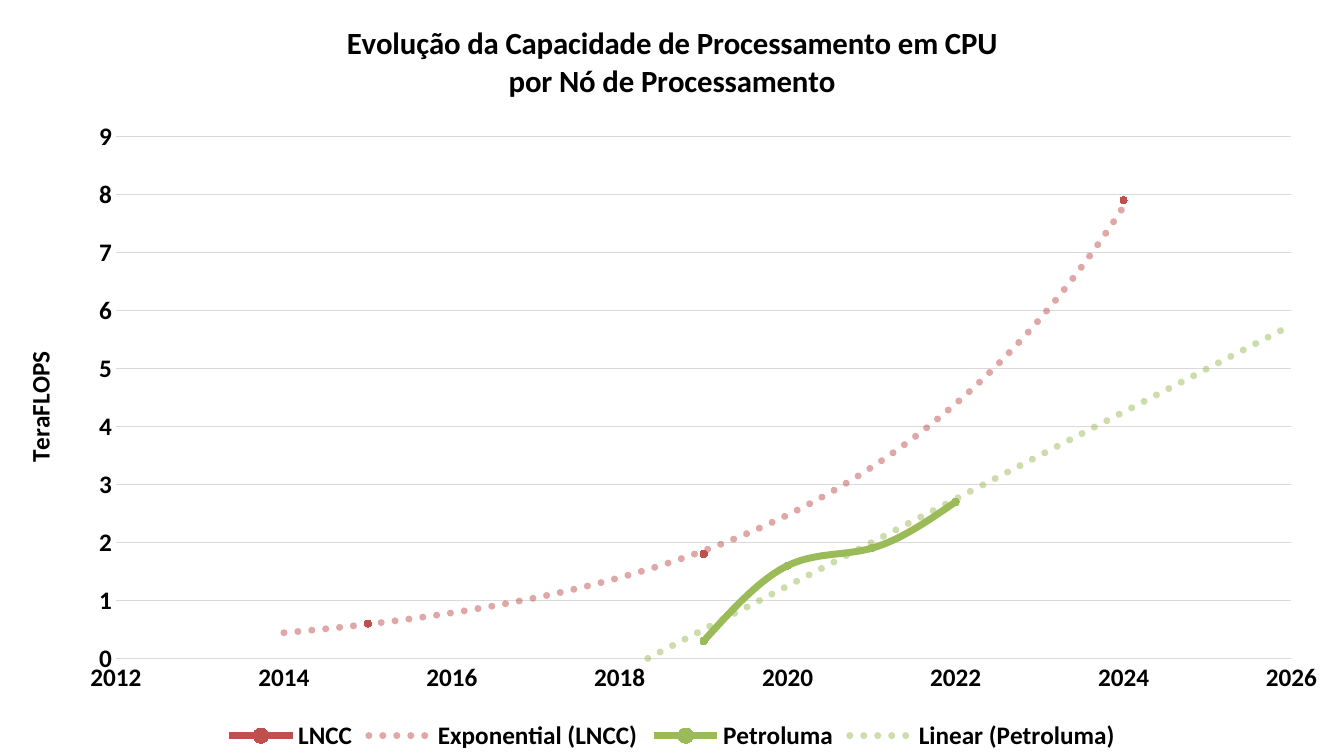
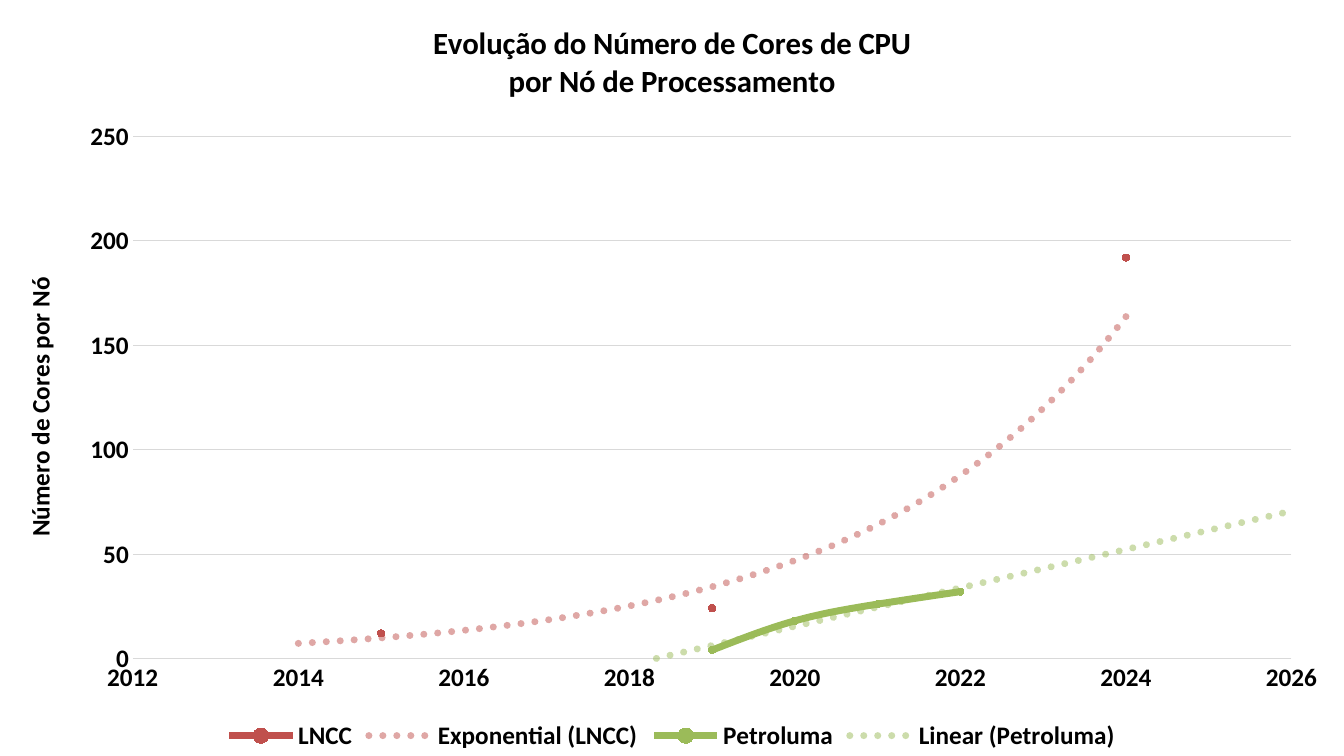
from dataclasses import dataclass
from typing import Optional

from lxml.etree import SubElement
from pptx import Presentation
from pptx.chart.chart import Chart
from pptx.chart.data import XyChartData
from pptx.chart.series import XySeries
from pptx.dml.color import RGBColor
from pptx.enum.chart import XL_CHART_TYPE as ChartType
from pptx.enum.chart import XL_LEGEND_POSITION as LegendPosition
from pptx.enum.chart import XL_MARKER_STYLE as MarkerStyle
from pptx.enum.chart import XL_TICK_MARK as TickMark
from pptx.oxml import parse_xml
from pptx.oxml.ns import nsdecls, qn
from pptx.util import Inches, Pt


@dataclass(frozen=True)
class Theme:
    font: str = "Calibri"
    text: str = "000000"
    grid: str = "D9D9D9"
    title_size: int = 22
    label_size: int = 18
    curve_width: float = 5
    grid_width: float = 0.75
    marker_size: int = 5


@dataclass(frozen=True)
class Site:
    name: str
    color: str
    trend: str
    forecast_years: int = 0


@dataclass(frozen=True)
class Evolution:
    title: str
    unit: str
    top: int
    step: int
    values: tuple[dict[int, float], ...]


THEME = Theme()
YEARS = range(2014, 2025)
SITES = (
    Site("LNCC", "C0504D", "exp"),
    Site("Petroluma", "9BBB59", "linear", forecast_years=2),
)
EVOLUTIONS = (
    Evolution(
        "Evolução da Capacidade de Processamento em CPU\npor Nó de Processamento",
        "TeraFLOPS", 9, 1,
        ({2015: 0.6, 2019: 1.8, 2024: 7.9},
         {2019: 0.3, 2020: 1.6, 2021: 1.9, 2022: 2.7}),
    ),
    Evolution(
        "Evolução do Número de Cores de CPU\npor Nó de Processamento",
        "Número de Cores por Nó", 250, 50,
        ({2015: 12, 2019: 24, 2024: 192},
         {2019: 4, 2020: 18, 2021: 26, 2022: 32}),
    ),
)


def style_font(font, size: int) -> None:
    font.name = THEME.font
    font.size = Pt(size)
    font.bold = True
    font.color.rgb = RGBColor.from_string(THEME.text)


def style_title(text_frame, text: str, size: int) -> None:
    text_frame.text = text
    for paragraph in text_frame.paragraphs:
        style_font(paragraph.font, size)
        for run in paragraph.runs:
            style_font(run.font, size)


def style_line(line, color: str, width: float) -> None:
    line.color.rgb = RGBColor.from_string(color)
    line.width = Pt(width)


def add_trend(series: XySeries, site: Site) -> None:
    trend = parse_xml(
        f'<c:trendline {nsdecls("c", "a")}><c:spPr>'
        f'<a:ln w="{Pt(THEME.curve_width)}" cap="rnd"><a:solidFill>'
        f'<a:srgbClr val="{site.color}"><a:alpha val="50000"/></a:srgbClr>'
        '</a:solidFill><a:prstDash val="sysDot"/></a:ln></c:spPr></c:trendline>'
    )
    SubElement(trend, qn("c:trendlineType")).set("val", site.trend)
    if site.forecast_years:
        SubElement(trend, qn("c:forward")).set("val", str(site.forecast_years))
    for flag in ("c:dispRSqr", "c:dispEq"):
        SubElement(trend, qn(flag)).set("val", "0")
    series._element.find(qn("c:xVal")).addprevious(trend)


def style_series(series: XySeries, site: Site) -> None:
    color = RGBColor.from_string(site.color)
    style_line(series.format.line, site.color, THEME.curve_width)
    marker = series.marker
    marker.style = MarkerStyle.CIRCLE
    marker.size = THEME.marker_size
    marker.format.fill.solid()
    marker.format.fill.fore_color.rgb = color
    marker.format.line.color.rgb = color
    for gap in series._element.xpath('c:yVal//c:pt[c:v="None"]'):
        gap.getparent().remove(gap)
    series._element.find(qn("c:smooth")).set("val", "1")
    add_trend(series, site)


def style_axis(axis, low: int, high: int, step: int) -> None:
    axis.minimum_scale, axis.maximum_scale, axis.major_unit = low, high, step
    axis.major_tick_mark = axis.minor_tick_mark = TickMark.NONE
    style_font(axis.tick_labels.font, THEME.label_size)
    axis.tick_labels.number_format = "General"
    axis.tick_labels.number_format_is_linked = False


def style_axes(chart: Chart, evolution: Evolution) -> None:
    years, amounts = chart.category_axis, chart.value_axis
    style_axis(years, 2012, 2026, 2)
    years.has_major_gridlines = False
    style_line(years.format.line, THEME.grid, THEME.grid_width)

    style_axis(amounts, 0, evolution.top, evolution.step)
    amounts.has_major_gridlines = True
    style_line(amounts.major_gridlines.format.line, THEME.grid, THEME.grid_width)
    amounts.format.line.fill.background()
    unit_frame = amounts.axis_title.text_frame
    style_title(unit_frame, evolution.unit, THEME.label_size)
    unit_body = unit_frame._txBody.find(qn("a:bodyPr"))
    unit_body.set("rot", "-5400000")
    unit_body.set("vert", "horz")


def chart_data(evolution: Evolution) -> XyChartData:
    data = XyChartData()
    for site, values in zip(SITES, evolution.values):
        points = data.add_series(site.name)
        for year in YEARS:
            amount: Optional[float] = values.get(year)
            points.add_data_point(year, amount)
    return data


def add_evolution(deck, evolution: Evolution) -> None:
    slide = deck.slides.add_slide(deck.slide_layouts[6])
    chart = slide.shapes.add_chart(
        ChartType.XY_SCATTER_SMOOTH, 0, 0, deck.slide_width, deck.slide_height,
        chart_data(evolution),
    ).chart
    style_font(chart.font, THEME.label_size)
    chart.has_title = True
    style_title(chart.chart_title.text_frame, evolution.title, THEME.title_size)
    chart.has_legend = True
    chart.legend.position = LegendPosition.BOTTOM
    chart.legend.include_in_layout = False
    style_font(chart.legend.font, THEME.label_size)
    style_axes(chart, evolution)
    plot = chart.plots[0]
    plot.vary_by_categories = False
    for series, site in zip(plot.series, SITES):
        style_series(series, site)


def main() -> None:
    deck = Presentation()
    deck.slide_width, deck.slide_height = Inches(13.33), Inches(7.5)
    for evolution in EVOLUTIONS:
        add_evolution(deck, evolution)
    deck.save("out.pptx")


if __name__ == "__main__":
    main()
